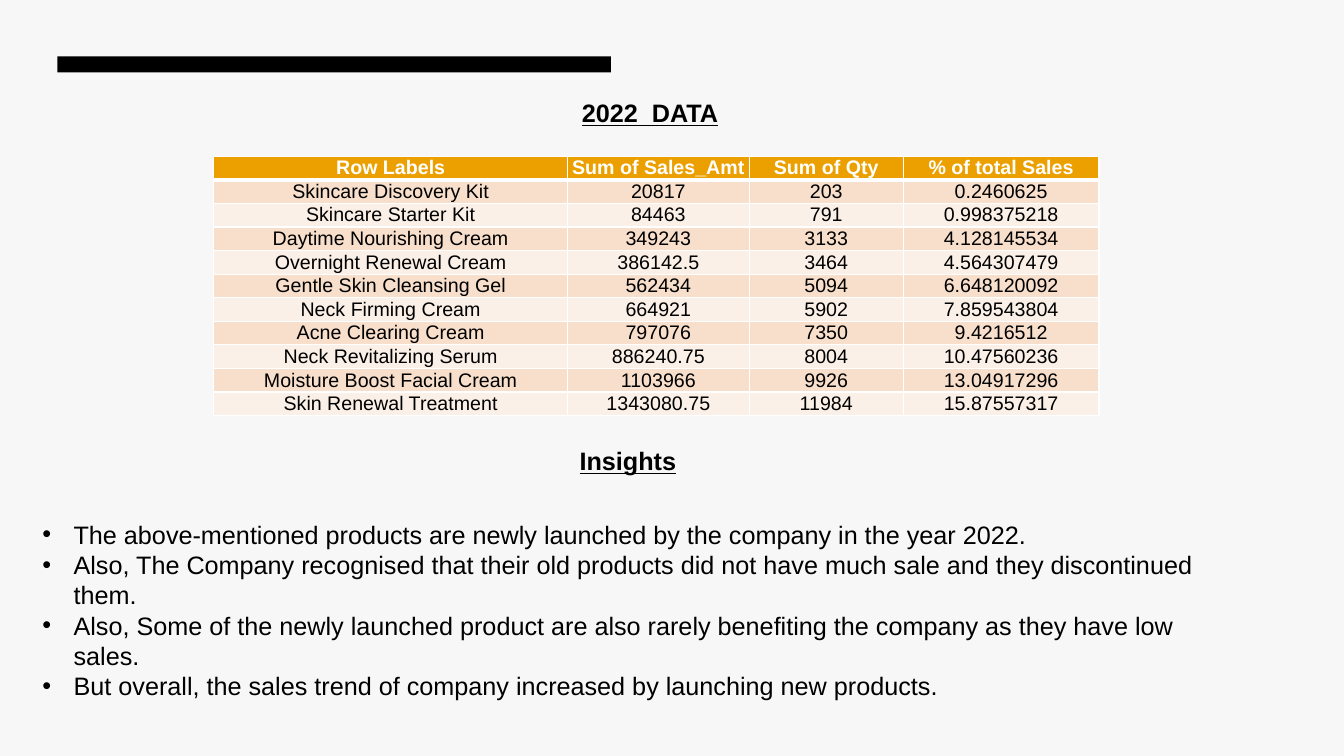
from lxml.etree import SubElement
from pptx import Presentation
from pptx.dml.color import RGBColor
from pptx.enum.shapes import MSO_SHAPE
from pptx.enum.text import MSO_ANCHOR, MSO_AUTO_SIZE, PP_ALIGN
from pptx.oxml import parse_xml
from pptx.oxml.ns import nsdecls, qn
from pptx.util import Inches, Pt

COLORS = {
    "background": "F7F7F7",
    "black": "000000",
    "white": "FFFFFF",
    "header": "EBA000",
    "odd_row": "F7DFCC",
    "even_row": "FBF0E7",
}
FONT = "Arial"
COLUMN_WIDTHS = [3.51, 1.8, 1.53, 1.94]
ROW_HEIGHT = 0.2
SALES = [
    ("Row Labels", "Sum of Sales_Amt", "Sum of Qty", "% of total Sales"),
    ("Skincare Discovery Kit", "20817", "203", "0.2460625"),
    ("Skincare Starter Kit", "84463", "791", "0.998375218"),
    ("Daytime Nourishing Cream", "349243", "3133", "4.128145534"),
    ("Overnight Renewal Cream", "386142.5", "3464", "4.564307479"),
    ("Gentle Skin Cleansing Gel", "562434", "5094", "6.648120092"),
    ("Neck Firming Cream", "664921", "5902", "7.859543804"),
    ("Acne Clearing Cream", "797076", "7350", "9.4216512"),
    ("Neck Revitalizing Serum", "886240.75", "8004", "10.47560236"),
    ("Moisture Boost Facial Cream", "1103966", "9926", "13.04917296"),
    ("Skin Renewal Treatment", "1343080.75", "11984", "15.87557317"),
]
INSIGHTS = [
    "The above-mentioned products are newly launched by the company in the year 2022.",
    "Also, The Company recognised that their old products did not have much sale and they discontinued them.",
    "Also, Some of the newly launched product are also rarely benefiting the company as they have low sales. ",
    "But overall, the sales trend of company increased by launching new products.",
]


def color(name):
    return RGBColor.from_string(COLORS[name])


def write(paragraph, text, size=18, fill="black", bold=False, underline=False,
          align=PP_ALIGN.LEFT):
    paragraph.alignment = align
    paragraph.space_before = Pt(0)
    paragraph.line_spacing = 1.0
    run = paragraph.add_run()
    run.text = text
    run.font.name = FONT
    run.font.size = Pt(size)
    run.font.bold = bold
    run.font.underline = underline
    run.font.color.rgb = color(fill)


def place(shape, left, top, width, height):
    shape.left, shape.top = Inches(left), Inches(top)
    shape.width, shape.height = Inches(width), Inches(height)
    frame = shape.text_frame
    frame.word_wrap = True
    frame.auto_size = MSO_AUTO_SIZE.SHAPE_TO_FIT_TEXT
    frame.vertical_anchor = MSO_ANCHOR.TOP
    return frame


def add_heading(shape, text, left, top, width, height):
    frame = place(shape, left, top, width, height)
    write(frame.paragraphs[0], text, bold=True, underline=True)


def add_bullets(shape, items, left, top, width, height):
    frame = place(shape, left, top, width, height)
    for index, item in enumerate(items):
        paragraph = frame.add_paragraph() if index else frame.paragraphs[0]
        write(paragraph, item)
        properties = paragraph._p.get_or_add_pPr()
        properties.set("marL", str(Inches(0.31)))
        properties.set("indent", str(Inches(-0.31)))
        SubElement(properties, qn("a:buFont"), typeface=FONT)
        SubElement(properties, qn("a:buChar"), char="•")


def set_borders(cell, top, bottom):
    properties = cell._tc.get_or_add_tcPr()
    widths = {"lnL": 1, "lnR": 1, "lnT": top, "lnB": bottom}
    for position, (side, width) in enumerate(widths.items()):
        border = parse_xml(
            f'<a:{side} {nsdecls("a")} w="{Pt(width)}"><a:solidFill>'
            f'<a:srgbClr val="{COLORS["white"]}"/></a:solidFill></a:{side}>')
        properties.insert(position, border)


def add_table(slide, rows, left, top):
    table = slide.shapes.add_table(
        len(rows), len(COLUMN_WIDTHS), Inches(left), Inches(top),
        Inches(sum(COLUMN_WIDTHS)), Inches(ROW_HEIGHT * len(rows))).table
    for column, width in zip(table.columns, COLUMN_WIDTHS):
        column.width = Inches(width)
    for row_index, values in enumerate(rows):
        header = row_index == 0
        fill = "header" if header else ("even_row", "odd_row")[row_index % 2]
        for column_index, value in enumerate(values):
            cell = table.cell(row_index, column_index)
            cell.margin_left = cell.margin_right = 0
            cell.margin_top = cell.margin_bottom = 0
            cell.vertical_anchor = MSO_ANCHOR.MIDDLE
            cell.fill.solid()
            cell.fill.fore_color.rgb = color(fill)
            set_borders(cell, 3 if row_index == 1 else 1, 3 if header else 1)
            write(cell.text_frame.paragraphs[0], value, size=14, bold=header,
                  fill="white" if header else "black", align=PP_ALIGN.CENTER)


def add_bar(slide, left, top, width, height):
    bar = slide.shapes.add_shape(MSO_SHAPE.RECTANGLE, Inches(left), Inches(top),
                                 Inches(width), Inches(height))
    bar.shadow.inherit = False
    bar.fill.solid()
    bar.fill.fore_color.rgb = color("black")
    bar.line.fill.background()


def main():
    presentation = Presentation()
    presentation.slide_width = Inches(13.33)
    presentation.slide_height = Inches(7.5)
    slide = presentation.slides.add_slide(presentation.slide_layouts[1])
    slide.background.fill.solid()
    slide.background.fill.fore_color.rgb = color("background")

    add_bar(slide, 0.57, 0.56, 5.49, 0.16)
    add_table(slide, SALES, 2.12, 1.55)
    add_heading(slide.shapes.title, "2022  DATA", 5.67, 0.92, 3, 0.71)
    insights_heading = slide.shapes.add_textbox(0, 0, 0, 0)
    add_heading(insights_heading, "Insights", 5.65, 4.37, 3, 0.4)
    add_bullets(slide.placeholders[1], INSIGHTS, 0.32, 5.1, 12.14, 1.31)
    presentation.save("out.pptx")


if __name__ == "__main__":
    main()
